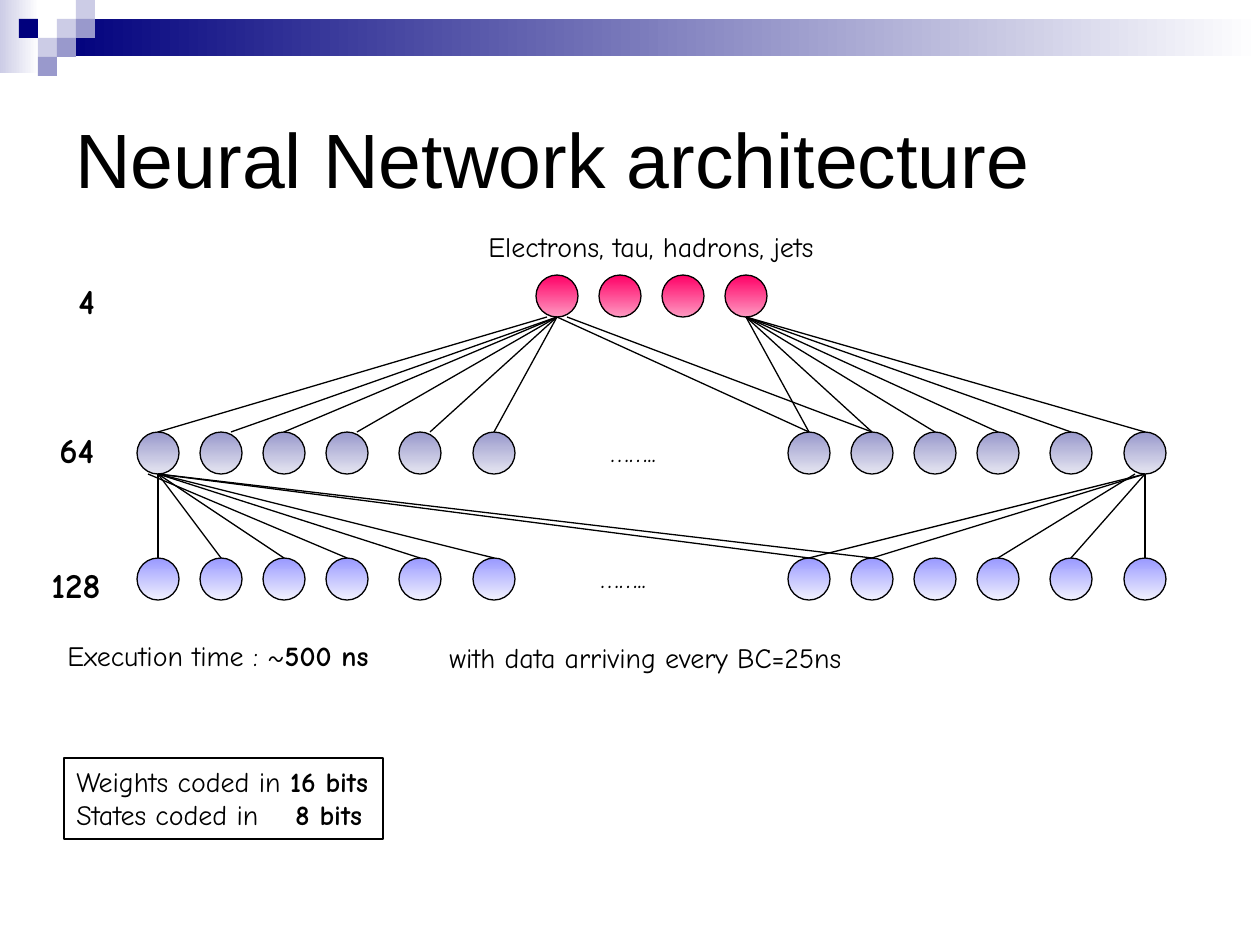
from lxml.etree import SubElement
from pptx import Presentation
from pptx.dml.color import RGBColor
from pptx.enum.shapes import MSO_CONNECTOR as CONNECTOR, MSO_SHAPE as SHAPE
from pptx.enum.text import MSO_ANCHOR as ANCHOR
from pptx.oxml.ns import qn
from pptx.util import Emu, Pt

EMU_PER_PX = 914400 / 126
BLACK = RGBColor(0x00, 0x00, 0x00)
WHITE = RGBColor(0xFF, 0xFF, 0xFF)
NAVY = RGBColor(0x00, 0x00, 0x7D)
LAVENDER = RGBColor(0xCC, 0xCC, 0xE6)
PERIWINKLE = RGBColor(0x99, 0x99, 0xCC)
PALE_PERIWINKLE = RGBColor(0xE5, 0xE5, 0xF1)
BLUE = RGBColor(0x99, 0x99, 0xFF)
PALE_BLUE = RGBColor(0xF1, 0xF1, 0xFE)
PINK = RGBColor(0xFF, 0x00, 0x66)
PALE_PINK = RGBColor(0xFE, 0x9A, 0xC2)

RIGHTWARD, DOWNWARD = 0, 270
NODE = 42


def px(length):
    return Emu(round(length * EMU_PER_PX))


class Deck:
    body_font = "Comic Neue"
    title_font = "Arial"
    line_width = Pt(0.75)

    def __init__(self, width, height):
        self.presentation = Presentation()
        self.presentation.slide_width = px(width)
        self.presentation.slide_height = px(height)
        self.slide = self.presentation.slides.add_slide(
            self.presentation.slide_layouts[6])

    def shape(self, kind, box, colors=(), angle=RIGHTWARD, outlined=False):
        """One colour gives a solid fill, two a gradient, none no fill."""
        shape = self.slide.shapes.add_shape(kind, *map(px, box))
        shape.shadow.inherit = False
        if len(colors) == 2:
            shape.fill.gradient()
            shape.fill.gradient_angle = angle
            for stop, color in zip(shape.fill.gradient_stops, colors):
                stop.color.rgb = color
        elif colors:
            shape.fill.solid()
            shape.fill.fore_color.rgb = colors[0]
        else:
            shape.fill.background()
        if outlined:
            shape.line.color.rgb = BLACK
            shape.line.width = self.line_width
        else:
            shape.line.fill.background()
        return shape

    def layer(self, centers, top, colors):
        return [self.shape(SHAPE.OVAL, (x - NODE // 2, top, NODE, NODE),
                           colors, DOWNWARD, outlined=True) for x in centers]

    def link(self, upper, lower, upper_shift=0, lower_shift=0):
        """Line from the bottom of one node to the top of another."""
        line = self.slide.shapes.add_connector(
            CONNECTOR.STRAIGHT,
            upper.left + upper.width // 2 + px(upper_shift),
            upper.top + upper.height,
            lower.left + lower.width // 2 + px(lower_shift),
            lower.top)
        if not lower_shift:
            line.end_connect(lower, 0)
        line.line.color.rgb = BLACK
        line.line.width = self.line_width
        SubElement(line._element.spPr, qn("a:effectLst"))

    def text(self, box, *paragraphs, size=16, font=None, anchor=ANCHOR.TOP):
        holder = self.slide.shapes.add_textbox(*map(px, box))
        self.fill_text(holder, paragraphs, size, font, anchor)

    def framed_text(self, box, *paragraphs, size=16, tab=None):
        holder = self.shape(SHAPE.RECTANGLE, box, outlined=True)
        self.fill_text(holder, paragraphs, size, tab=tab)

    def fill_text(self, holder, paragraphs, size, font=None,
                  anchor=ANCHOR.TOP, tab=None):
        """Each paragraph is a list of (wording, bold) runs."""
        frame = holder.text_frame
        frame.word_wrap = True
        frame.vertical_anchor = anchor
        frame.margin_right = 0
        for index, runs in enumerate(paragraphs):
            paragraph = frame.add_paragraph() if index else frame.paragraphs[0]
            properties = paragraph._p.get_or_add_pPr()
            properties.set("algn", "l")
            if tab:
                tabs = SubElement(properties, qn("a:tabLst"))
                SubElement(tabs, qn("a:tab"), pos=str(px(tab)), algn="l")
            for wording, bold in runs:
                run = paragraph.add_run()
                run.text = wording
                run.font.name = font or self.body_font
                run.font.size = Pt(size)
                run.font.bold = bold
                run.font.color.rgb = BLACK


def main():
    deck = Deck(1260, 945)

    # Header band and its squares, placed by column and row
    tile = 19
    deck.shape(SHAPE.RECTANGLE, (0, 0, 39, 73), (LAVENDER, WHITE))
    deck.shape(SHAPE.RECTANGLE, (57, tile, 1203, 37), (NAVY, WHITE))
    for column, row, color in [
            (3, 1, LAVENDER), (4, 0, LAVENDER), (4, 1, PERIWINKLE),
            (2, 2, LAVENDER), (1, 1, NAVY), (3, 2, PERIWINKLE),
            (2, 3, PERIWINKLE)]:
        deck.shape(SHAPE.RECTANGLE,
                   (column * tile, row * tile, tile, tile), (color,))

    # Network layers: two groups of six nodes, four outputs on top
    offsets = (0, 63, 126, 189, 262, 336)
    centers = [start + offset for start in (158, 809) for offset in offsets]
    inputs = deck.layer(centers, 558, (BLUE, PALE_BLUE))
    hidden = deck.layer(centers, 432, (PERIWINKLE, PALE_PERIWINKLE))
    outputs = deck.layer([557 + 63 * i for i in range(4)], 275,
                         (PINK, PALE_PINK))

    # Links: upper node, lower layer, lower indices, shifts at either end
    for upper, lower, indices, upper_shifts, lower_shifts in [
            (outputs[0], hidden, range(8), {0: -10, 7: 10},
             {1: 10, 3: 10, 4: 10}),
            (outputs[3], hidden, range(6, 12), {}, {}),
            (hidden[0], inputs, range(8), {3: -10}, {}),
            (hidden[11], inputs, (6, 7, 9, 10, 11), {9: -10}, {})]:
        for index in indices:
            deck.link(upper, lower[index], upper_shifts.get(index, 0),
                      lower_shifts.get(index, 0))

    # Omitted nodes and layer sizes
    for left, top in [(598, 428), (588, 554)]:
        deck.text((left, top, 71, 47), [("……..", False)])
    for left, top, width, count in [
            (66, 273, 42, "4"), (47, 422, 59, "64"), (39, 557, 74, "128")]:
        deck.text((left, top, width, 55), [(count, True)], size=20)

    # Title and captions
    deck.text((63, 63, 1134, 189), [("Neural Network architecture", False)],
              size=44, font=deck.title_font, anchor=ANCHOR.MIDDLE)
    deck.text((476, 223, 352, 47), [("Electrons, tau, hadrons, jets", False)])
    deck.text((55, 632, 326, 47),
              [("Execution time : ~", False), ("500 ns", True)])
    deck.text((437, 634, 420, 47),
              [("with data arriving every BC=25ns", False)])

    # Coding precision
    deck.framed_text((64, 758, 319, 81),
                     [("Weights coded in ", False), ("16 bits", True)],
                     [("States coded in\t", False), ("8 bits", True)],
                     tab=219)

    deck.presentation.save("out.pptx")


if __name__ == "__main__":
    main()
